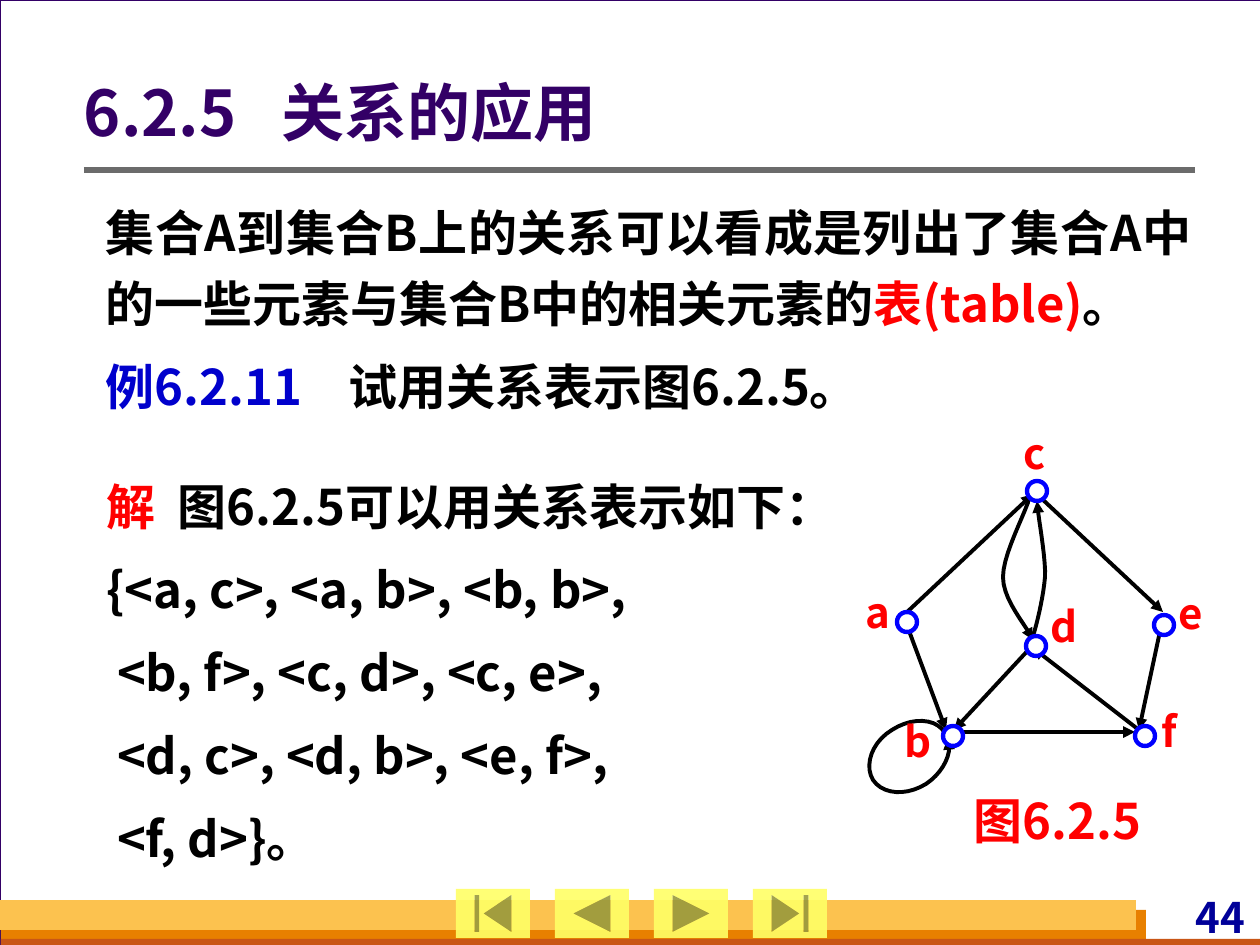
from lxml import etree
from pptx import Presentation
from pptx.dml.color import RGBColor
from pptx.enum.shapes import MSO_CONNECTOR, MSO_SHAPE
from pptx.enum.text import MSO_ANCHOR, PP_ALIGN
from pptx.oxml.ns import qn
from pptx.util import Pt

PX = 914400 / 126
FONT = "Noto Sans CJK SC"
LINE = MSO_CONNECTOR.STRAIGHT
RECT, OVAL = MSO_SHAPE.RECTANGLE, MSO_SHAPE.OVAL
FIRST, LAST = MSO_SHAPE.ACTION_BUTTON_BEGINNING, MSO_SHAPE.ACTION_BUTTON_END
PREV = MSO_SHAPE.ACTION_BUTTON_BACK_OR_PREVIOUS
NEXT = MSO_SHAPE.ACTION_BUTTON_FORWARD_OR_NEXT
LEFT, MID, RIGHT, JUST = PP_ALIGN.LEFT, PP_ALIGN.CENTER, PP_ALIGN.RIGHT, PP_ALIGN.JUSTIFY
TOP, CENTER = MSO_ANCHOR.TOP, MSO_ANCHOR.MIDDLE
BLACK = RGBColor(0, 0, 0)
WHITE = RGBColor(255, 255, 255)
BACK = RGBColor(0xD8, 0xDA, 0xDA)
PLUM = RGBColor(0x33, 0x00, 0x66)
GRAY = RGBColor(0x6B, 0x6B, 0x6B)
RED = RGBColor(255, 0, 0)
BLUE = RGBColor(0, 0, 255)
NAVY = RGBColor(0, 0, 0x99)
COBALT = RGBColor(0, 0, 0xCC)
AMBER = RGBColor(0xE8, 0x80, 0x00)
RUST = RGBColor(0xC9, 0x56, 0x16)
GOLD = RGBColor(0xFC, 0xC2, 0x4F)
LEMON = RGBColor(0xFF, 0xFF, 0x66)


def emu(*vals):
    return [round(v * PX) for v in vals]


def curve(start, *parts, steps=10):
    pts = [start]
    for b, c, d in parts:
        a = pts[-1]
        for i in range(1, steps + 1):
            t = i / steps
            u = 1 - t
            pts.append(tuple(u**3 * p + 3 * u * u * t * q + 3 * u * t * t * r + t**3 * s
                             for p, q, r, s in zip(a, b, c, d)))
    return pts


class Deck:
    """Holds the style and the current slide, and draws each kind of element."""

    def __init__(self, wide, high):
        self.prs = Presentation()
        self.prs.slide_width, self.prs.slide_height = emu(wide, high)
        self.slide = self.prs.slides.add_slide(self.prs.slide_layouts[6])
        self.shapes = self.slide.shapes
        fill = self.slide.background.fill
        fill.solid()
        fill.fore_color.rgb = BACK

    def shape(self, kind, box, fill, edge=None, width=1, alpha=None):
        item = self.shapes.add_shape(kind, *emu(*box))
        item.shadow.inherit = False
        item.fill.solid()
        item.fill.fore_color.rgb = fill
        if alpha:
            tint = item.fill._xPr.find(".//" + qn("a:srgbClr"))
            etree.SubElement(tint, qn("a:alpha"), val=str(alpha * 1000))
        if edge is None:
            item.line.fill.background()
        else:
            item.line.color.rgb = edge
            item.line.width = Pt(width)

    def stroke(self, item, color, width, head):
        item.line.color.rgb = color
        item.line.width = Pt(width)
        if head:
            etree.SubElement(item.line._get_or_add_ln(), qn("a:tailEnd"), type="triangle")

    def line(self, start, end, color=BLACK, width=2.25, head=True):
        item = self.shapes.add_connector(LINE, *emu(*start, *end))
        self.stroke(item, color, width, head)
        etree.SubElement(item._element.spPr, qn("a:effectLst"))

    def arc(self, pts):
        pen = self.shapes.build_freeform(*emu(*pts[0]), scale=1.0)
        pen.add_line_segments([emu(*p) for p in pts[1:]], close=False)
        item = pen.convert_to_shape()
        item.shadow.inherit = False
        item.fill.background()
        self.stroke(item, BLACK, 2.25, True)

    def text(self, box, paras, size, align=LEFT, inset=(0, 0, 0, 0),
             anchor=TOP, lead=None, gap=0):
        frame = self.shapes.add_textbox(*emu(*box)).text_frame
        frame.word_wrap = True
        frame.vertical_anchor = anchor
        (frame.margin_left, frame.margin_top,
         frame.margin_right, frame.margin_bottom) = emu(*inset)
        for i, (runs, tab, indent) in enumerate(paras):
            para = frame.add_paragraph() if i else frame.paragraphs[0]
            props = para._p.get_or_add_pPr()
            if indent:
                props.set("marL", str(emu(indent)[0]))
            if tab:
                tabs = etree.SubElement(props, qn("a:tabLst"))
                etree.SubElement(tabs, qn("a:tab"), pos=str(emu(tab)[0]), algn="l")
            para.alignment = align
            if lead:
                para.line_spacing = lead
            para.space_before = Pt(gap if i else 0)
            for words, color in runs:
                run = para.add_run()
                run.text = words
                run.font.size = Pt(size)
                run.font.bold = True
                run.font.color.rgb = color
                run.font.name = FONT
                etree.SubElement(run.font._element, qn("a:ea"), typeface=FONT)

    def label(self, box, words, color=RED, size=24, align=JUST, **style):
        self.text(box, [([(words, color)], None, 0)], size, align, **style)


def main():
    deck = Deck(1260, 945)
    deck.shape(RECT, (0, 0, 1261, 945), WHITE, PLUM, 0.75)
    deck.shape(RECT, (1, 910, 1145, 35), AMBER)
    deck.shape(RECT, (1, 939, 1260, 10), RUST)
    deck.shape(RECT, (0, 900, 1136, 30), GOLD)
    deck.label((1067, 892, 183, 50), "44", NAVY, align=RIGHT, inset=(5, 0, 5, 0))
    deck.line((84, 170), (1195, 170), GRAY, 3, False)
    for i, kind in enumerate((FIRST, PREV, NEXT, LAST)):
        deck.shape(kind, (456 + 99 * i, 889, 74, 49), LEMON, alpha=90)

    body = {"size": 28, "inset": (13, 6, 13, 6), "lead": 1.2, "gap": 7}
    pairs = ["<b, f>, <c, d>, <c, e>,", "<d, c>, <d, b>, <e, f>,", "<f, d>}。"]
    deck.text((93, 459, 900, 415), [
        ([("解\t", RED), ("图6.2.5可以用关系表示如下：", BLACK)], 72, 0),
        ([("{<a, c>, <a, b>, <b, b>,", BLACK)], None, 0),
        *[([(row, BLACK)], None, 11) for row in pairs]], **body)
    deck.text((84, 76, 1111, 81), [([("6.2.5\t关系的应用", PLUM)], 198, 0)], 36,
              inset=(0, 6, 13, 6), anchor=CENTER, lead=0.9)
    deck.text((93, 185, 1111, 307), [
        ([("集合A到集合B上的关系可以看成是列出了集合A中的一些元素与集合B中的相关元素的", BLACK),
          ("表(table)", RED), ("。", BLACK)], None, 0),
        ([("例6.2.11\t", COBALT), ("试用关系表示图6.2.5。", BLACK)], 243, 0)],
        align=JUST, **body)

    deck.arc(curve((945, 733), ((936, 718), (912, 717), (892, 730)),
                   ((872, 742), (864, 765), (873, 780)),
                   ((883, 795), (907, 796), (926, 784)),
                   ((944, 772), (953, 752), (948, 738))))
    deck.arc(curve((1033, 636), ((1036, 627), (1043, 600), (1045, 577)),
                   ((1046, 556), (1038, 518), (1037, 501))))
    deck.arc(curve((1029, 499), ((1026, 512), (1003, 554), (1003, 577)),
                   ((1003, 601), (1027, 626), (1033, 640))))
    for start, end in (((1033, 645), (954, 730)), ((1139, 730), (1033, 648)),
                       ((905, 620), (946, 730)), ((905, 614), (1033, 494)),
                       ((1041, 498), (1163, 612)), ((950, 732), (1135, 732)),
                       ((1162, 622), (1139, 730))):
        deck.line(start, end)
    for name, x, y in (("a", 866, 587), ("b", 905, 716), ("c", 1024, 428),
                       ("d", 1051, 601), ("e", 1179, 588), ("f", 1162, 706)):
        deck.label((x, y, 38, 50), name)
    deck.label((944, 791, 227, 59), "图6.2.5", size=28, align=MID)
    for x, y in ((1037, 491), (907, 622), (1164, 625), (1036, 646), (953, 736), (1145, 736)):
        deck.shape(OVAL, (x - 10, y - 10, 20, 20), WHITE, BLUE, 2.5)
    deck.prs.save("out.pptx")


if __name__ == "__main__":
    main()
